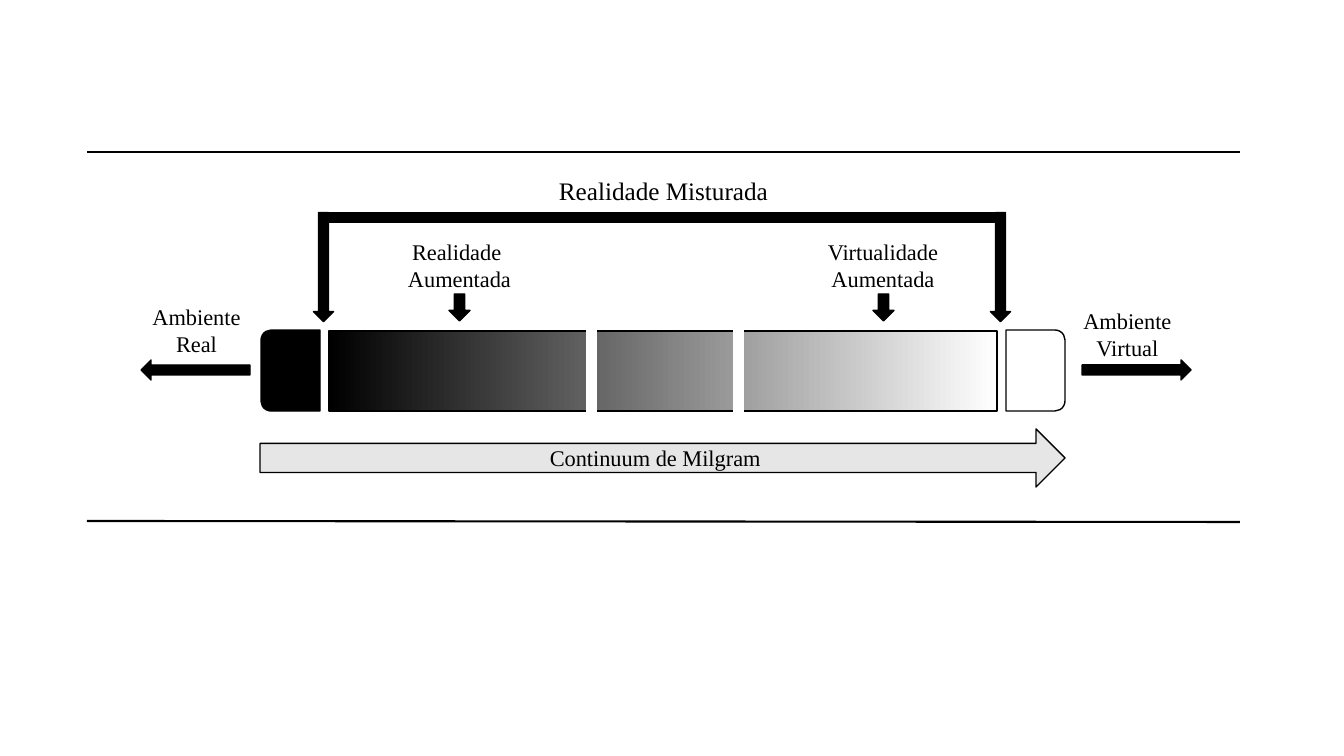
import lxml.etree
import pptx
import pptx.util
import pptx.dml.color
import pptx.enum.shapes
import pptx.enum.text
import pptx.oxml.ns

SHAPE = pptx.enum.shapes.MSO_SHAPE
BLACK, WHITE, GREY = "000000", "FFFFFF", "E7E6E6"


def px(n):
    return pptx.util.Emu(round(n * 914400 / 100.8))


def rgb(color):
    return pptx.dml.color.RGBColor.from_string(color)


class Diagram:
    font = "Times New Roman"
    outline = pptx.util.Pt(1)
    rule = pptx.util.Pt(1.5)

    def __init__(self, slide):
        self.s = slide

    def line(self, x1, y1, x2, y2):
        kind = pptx.enum.shapes.MSO_CONNECTOR.STRAIGHT
        ln = self.s.shapes.add_connector(kind, px(x1), px(y1), px(x2), px(y2))
        ln.line.color.rgb = rgb(BLACK)
        ln.line.width = self.rule
        lxml.etree.SubElement(ln._element.spPr, pptx.oxml.ns.qn("a:effectLst"))

    def shape(self, kind, x, y, w, h, fill=BLACK, line=BLACK, rot=0, adj=()):
        sp = self.s.shapes.add_shape(kind, px(x), px(y), px(w), px(h))
        sp.shadow.inherit = False
        sp.rotation = rot
        sp.fill.solid()
        sp.fill.fore_color.rgb = rgb(fill)
        sp.line.color.rgb = rgb(line)
        sp.line.width = self.outline
        for i, value in enumerate(adj):
            sp.adjustments[i] = value
        return sp

    def gradient(self, x, y, w, h, *colors):
        sp = self.shape(SHAPE.RECTANGLE, x, y, w, h)
        sp.fill.gradient()
        sp.fill.gradient_angle = 0
        for stop, color in zip(sp.fill.gradient_stops, colors):
            stop.color.rgb = rgb(color)

    def arrow(self, x, y, w, h, rot=0, fill=BLACK):
        return self.shape(SHAPE.RIGHT_ARROW, x, y, w, h, fill, rot=rot)

    def set_text(self, sp, text, size):
        tf = sp.text_frame
        tf.text = text
        for p in tf.paragraphs:
            p.alignment = pptx.enum.text.PP_ALIGN.CENTER
            for r in p.runs:
                r.font.name = self.font
                r.font.size = pptx.util.Pt(size)
                r.font.color.rgb = rgb(BLACK)

    def label(self, x, y, w, h, text, size=16, wrap=True):
        sp = self.s.shapes.add_textbox(px(x), px(y), px(w), px(h))
        sp.text_frame.word_wrap = wrap
        self.set_text(sp, text, size)


prs = pptx.Presentation()
prs.slide_width, prs.slide_height = px(1344), px(756)
d = Diagram(prs.slides.add_slide(prs.slide_layouts[6]))

d.line(87, 152, 1240, 152)
d.line(87, 521, 1240, 522)

d.gradient(329, 331, 668, 80, BLACK, WHITE)
for x, rot, fill in ((250, 270, BLACK), (995, 90, WHITE)):
    d.shape(SHAPE.ROUND_2_SAME_RECTANGLE, x, 341, 81, 59, fill, rot=rot, adj=(0.17, 0))
for x, y in ((587, 268), (734, 285)):
    d.shape(SHAPE.RECTANGLE, x, y, 9, 219, WHITE, WHITE)

for x in (446, 870):
    d.arrow(x, 297, 27, 21, rot=90)
for x in (269, 946):
    d.arrow(x, 257, 109, 20, rot=90)
d.shape(SHAPE.RECTANGLE, 326, 213, 676, 9)
for x, rot in ((141, 180), (1082, 0)):
    d.arrow(x, 360, 109, 20, rot=rot)

continuum = d.arrow(260, 429, 805, 58, fill=GREY)
d.set_text(continuum, "Continuum de Milgram", 16)

d.label(547, 170, 233, 40, "Realidade Misturada", 18, wrap=False)
d.label(397, 233, 125, 64, "Realidade \nAumentada")
d.label(808, 233, 150, 64, "Virtualidade Aumentada")
d.label(134, 298, 125, 64, "Ambiente Real")
d.label(1065, 302, 125, 64, "Ambiente Virtual")

prs.save("out.pptx")
